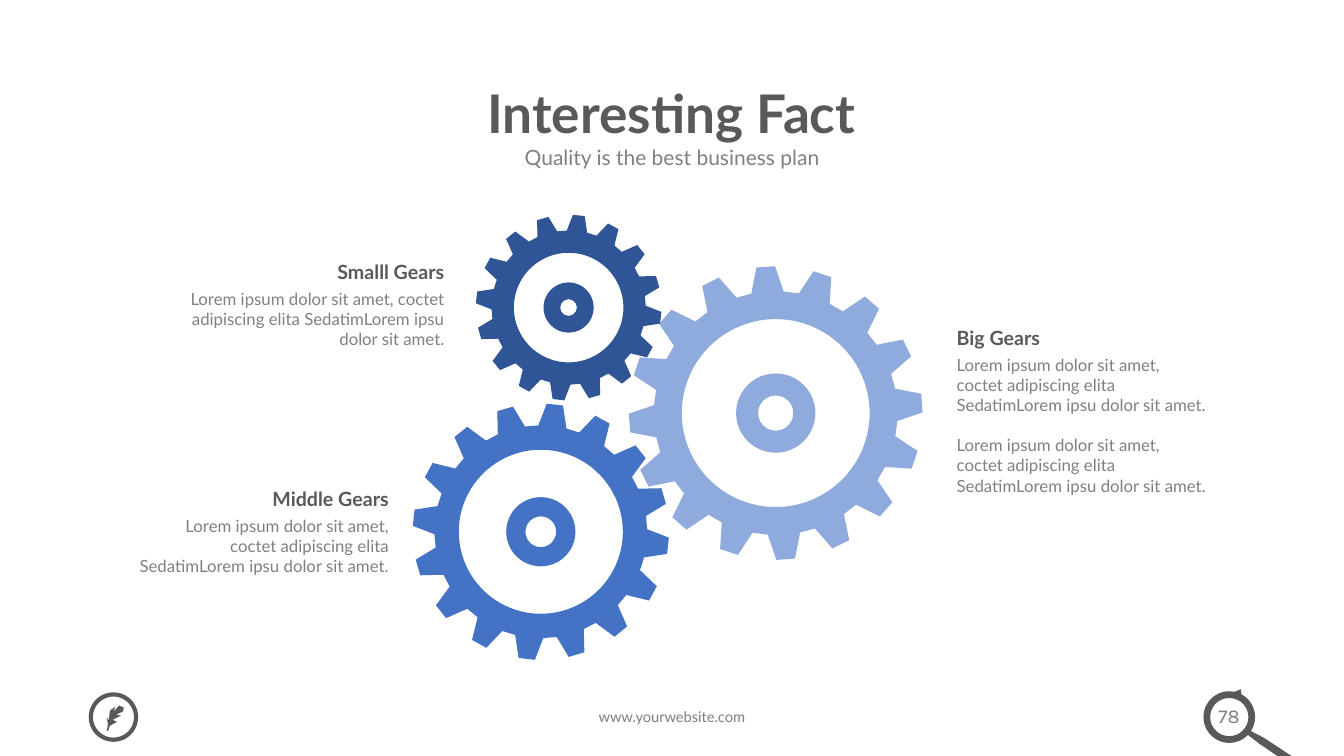
"""Build the "Interesting Fact" slide with three meshing gears."""
from dataclasses import dataclass
from math import cos, radians, sin

from pptx import Presentation
from pptx.dml.color import RGBColor
from pptx.enum.shapes import MSO_SHAPE
from pptx.enum.text import MSO_ANCHOR, PP_ALIGN
from pptx.util import Cm, Pt

DARK_GRAY = RGBColor(0x59, 0x59, 0x59)
GRAY = RGBColor(0x80, 0x80, 0x80)
NAVY = RGBColor(0x2F, 0x55, 0x97)
BLUE = RGBColor(0x44, 0x72, 0xC4)
LIGHT_BLUE = RGBColor(0x8F, 0xAA, 0xDC)

LEFT, CENTER, RIGHT = PP_ALIGN.LEFT, PP_ALIGN.CENTER, PP_ALIGN.RIGHT
TOP, MIDDLE = MSO_ANCHOR.TOP, MSO_ANCHOR.MIDDLE
OVAL, DONUT, RIGHT_ARROW = MSO_SHAPE.OVAL, MSO_SHAPE.DONUT, MSO_SHAPE.RIGHT_ARROW

TITLE_FORMAT = {"name": "Lato", "size": Pt(38), "bold": True}
SUBTITLE_FORMAT = {"name": "Lato", "size": Pt(15), "bold": False}
HEADING_FORMAT = {"name": "Lato", "size": Pt(14), "bold": True}
BODY_FORMAT = {"name": "Lato", "size": Pt(12), "bold": False}
FOOTER_FORMAT = {"name": "Lato", "size": Pt(10.5), "bold": False}
NUMBER_FORMAT = {"name": "Karla", "size": Pt(14), "bold": False}

TEETH = 16
TIP_HALF_ANGLE = 3.65
BASE_HALF_ANGLE = 7.65
ROOT_RATIO = 0.83
HUB_RATIO = 0.27
HEADING_WIDTH = 5.87
HEADING_HEIGHT = 0.61
BODY_OFFSET = 0.71
BODY_LINE = 14.4
LOREM = ("Lorem ipsum dolor sit amet, coctet adipiscing elita "
         "SedatimLorem ipsu dolor sit amet.")

LENS_CENTER = (30.98, 18.07)
HANDLE = [(31.52, 18.42), (31.85, 18.59), (32.82, 19.23), (32.85, 19.32),
          (32.8, 19.38), (32.72, 19.41), (31.75, 18.75), (31.45, 18.52)]
FEATHER = [(2.72, 18.42), (2.77, 18.29), (2.95, 18.19), (2.84, 18.14),
           (3.05, 18.03), (2.92, 18.01), (3.1, 17.93), (3.12, 17.83),
           (3, 17.78), (2.87, 17.93), (2.9, 17.81), (2.77, 17.91),
           (2.74, 18.16), (2.69, 18.06), (2.72, 18.26), (2.69, 18.42)]


@dataclass(frozen=True)
class Gear:
    """Size, place and colour of a gear, in centimetres and degrees."""
    center: tuple[float, float]
    radius: float
    phase: float
    hole_ratio: float
    bore_ratio: float
    color: RGBColor


@dataclass(frozen=True)
class Caption:
    """A heading with body paragraphs, aligned to one edge."""
    heading: str
    edge: float
    top: float
    body_width: float
    align: PP_ALIGN
    body: tuple[str, ...] = (LOREM,)


GEARS = [
    Gear((13.63, 13.4), 3.23, 6.3, 0.64, 0.12, BLUE),
    Gear((19.55, 10.41), 3.7, -3.9, 0.64, 0.12, LIGHT_BLUE),
    Gear((14.33, 7.75), 2.34, 6.3, 0.59, 0.09, NAVY),
]
CAPTIONS = [
    Caption("Big Gears", 24.11, 8.22, 6.35, LEFT, (LOREM, LOREM)),
    Caption("Smalll Gears", 11.2, 6.56, 6.45, RIGHT),
    Caption("Middle Gears", 9.8, 12.28, 6.35, RIGHT),
]


def polar(center: tuple[float, float], radius: float, degrees: float) -> tuple[float, float]:
    """Return the point at an angle around a centre."""
    angle = radians(degrees)
    return center[0] + radius * cos(angle), center[1] + radius * sin(angle)


def arc(center: tuple[float, float], radius: float, angles: range) -> list[tuple[float, float]]:
    """Return the points of an arc around a centre."""
    return [polar(center, radius, degrees) for degrees in angles]


def paint(shape, color: RGBColor) -> None:
    """Give a shape a plain fill with no line or shadow."""
    shape.shadow.inherit = False
    shape.fill.solid()
    shape.fill.fore_color.rgb = color
    shape.line.fill.background()


def draw_outline(slide, contours: list[list[tuple[float, float]]], color: RGBColor) -> None:
    """Draw closed contours as one freeform."""
    scaled = [[(Cm(x), Cm(y)) for x, y in contour] for contour in contours]
    builder = slide.shapes.build_freeform(*scaled[0][0])
    for index, points in enumerate(scaled):
        if index:
            builder.move_to(*points[0])
        builder.add_line_segments(points[1:], close=True)
    paint(builder.convert_to_shape(), color)


def add_circle(slide, kind: MSO_SHAPE, center: tuple[float, float], radius: float):
    """Add a round shape around a centre."""
    x, y = center
    return slide.shapes.add_shape(
        kind, Cm(x - radius), Cm(y - radius), Cm(2 * radius), Cm(2 * radius))


def draw_gear(slide, gear: Gear) -> None:
    """Draw a toothed wheel and its hub."""
    root = gear.radius * ROOT_RATIO
    tooth = [(root, -BASE_HALF_ANGLE), (gear.radius, -TIP_HALF_ANGLE),
             (gear.radius, TIP_HALF_ANGLE), (root, BASE_HALF_ANGLE)]
    teeth = [polar(gear.center, radius, gear.phase + index * 360 / TEETH + offset)
             for index in range(TEETH) for radius, offset in tooth]
    hole = arc(gear.center, gear.radius * gear.hole_ratio, range(360, 0, -4))
    draw_outline(slide, [teeth, hole], gear.color)
    hub = add_circle(slide, DONUT, gear.center, gear.radius * HUB_RATIO)
    hub.adjustments[0] = (HUB_RATIO - gear.bore_ratio) / (2 * HUB_RATIO)
    paint(hub, gear.color)


def write_text(frame, texts: tuple[str, ...], font_format: dict, color: RGBColor,
               align: PP_ALIGN, anchor: MSO_ANCHOR = TOP,
               margins: tuple[float, float] = (0.25, 0.13)) -> None:
    """Fill a text frame with uniformly formatted paragraphs."""
    across, down = margins
    frame_format = {"word_wrap": True, "vertical_anchor": anchor,
                    "margin_left": Cm(across), "margin_right": Cm(across),
                    "margin_top": Cm(down), "margin_bottom": Cm(down)}
    for name, value in frame_format.items():
        setattr(frame, name, value)
    for index, text in enumerate(texts):
        paragraph = frame.add_paragraph() if index else frame.paragraphs[0]
        paragraph.alignment = align
        if index:
            paragraph.space_before = Pt(BODY_LINE)
        run = paragraph.add_run()
        run.text = text
        for name, value in font_format.items():
            setattr(run.font, name, value)
        run.font.color.rgb = color


def add_text(slide, box: tuple[float, float, float, float], *content, **options) -> None:
    """Add a text box and write its content."""
    shape = slide.shapes.add_textbox(*map(Cm, box))
    write_text(shape.text_frame, *content, **options)


def draw_caption(slide, caption: Caption) -> None:
    """Write a heading and the body below it."""
    body_height = 1.55 if len(caption.body) == 1 else 3.58
    parts = [
        (0, HEADING_WIDTH, HEADING_HEIGHT, (caption.heading,), HEADING_FORMAT, DARK_GRAY),
        (BODY_OFFSET, caption.body_width, body_height, caption.body, BODY_FORMAT, GRAY),
    ]
    for offset, width, height, texts, font_format, color in parts:
        left = caption.edge - width if caption.align == RIGHT else caption.edge
        add_text(slide, (left, caption.top + offset, width, height), texts,
                 font_format, color, caption.align, margins=(0, 0))


def main() -> None:
    """Build and save the presentation."""
    presentation = Presentation()
    presentation.slide_width, presentation.slide_height = Cm(33.87), Cm(19.05)
    slide = presentation.slides.add_slide(presentation.slide_layouts[5])

    title = slide.shapes.title
    title_box = {"left": Cm(4.22), "top": Cm(1.9), "width": Cm(25.4), "height": Cm(2.08)}
    for name, value in title_box.items():
        setattr(title, name, value)
    write_text(title.text_frame, ("Interesting Fact",), TITLE_FORMAT, DARK_GRAY, CENTER, MIDDLE)
    title.text_frame.paragraphs[0].line_spacing = 0.9

    for gear in GEARS:
        draw_gear(slide, gear)
    add_text(slide, (6.79, 3.45, 20.3, 0.99), ("Quality is the best business plan",),
             SUBTITLE_FORMAT, GRAY, CENTER, margins=(0.33, 0.18))
    add_text(slide, (10.8, 17.7, 12.27, 0.74), ("www.yourwebsite.com",),
             FOOTER_FORMAT, GRAY, CENTER)
    for caption in CAPTIONS:
        draw_caption(slide, caption)

    rim = arc(LENS_CENTER, 0.65, range(45, 391, 5))
    lens = arc(LENS_CENTER, 0.48, range(360, 0, -5))
    draw_outline(slide, [rim + HANDLE, lens], DARK_GRAY)
    pointer = slide.shapes.add_shape(RIGHT_ARROW, Cm(31.06), Cm(17.35), Cm(0.28), Cm(0.28))
    pointer.rotation = 298.7
    pointer.adjustments[0], pointer.adjustments[1] = 0.32, 0.64
    paint(pointer, DARK_GRAY)
    add_text(slide, (30.2, 17.6, 1.55, 0.86), ("78",), NUMBER_FORMAT, GRAY, CENTER)

    badge = add_circle(slide, OVAL, (2.86, 18.07), 0.57)
    badge.shadow.inherit = False
    badge.fill.background()
    badge.line.color.rgb, badge.line.width = DARK_GRAY, Pt(3)
    draw_outline(slide, [FEATHER], DARK_GRAY)
    presentation.save("out.pptx")


if __name__ == "__main__":
    main()
